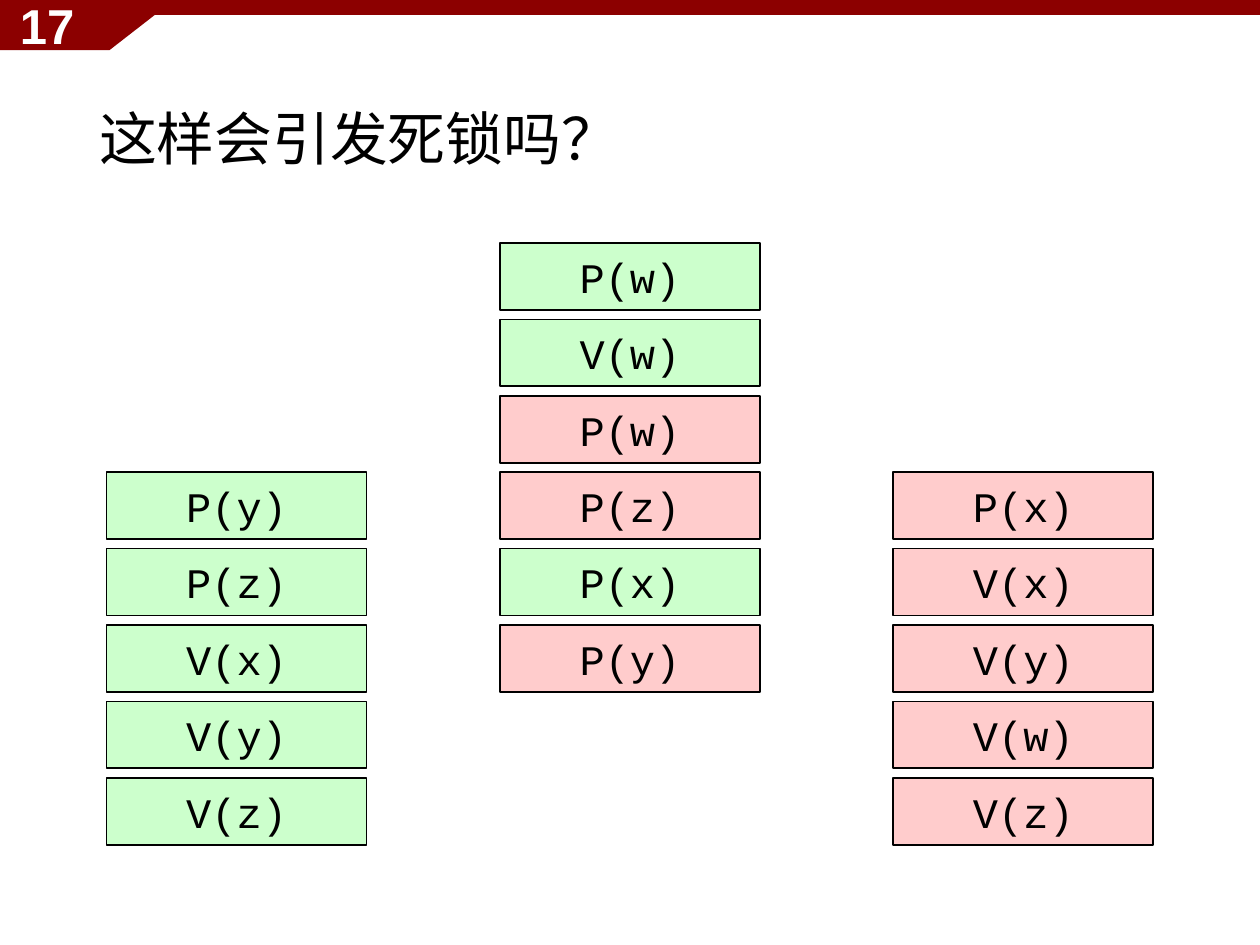
from pptx import Presentation
from pptx.dml.color import RGBColor
from pptx.enum.shapes import MSO_SHAPE
from pptx.enum.text import MSO_ANCHOR, PP_ALIGN
from pptx.util import Cm, Pt

COLORS = {
    "banner": "8C0000",
    "green": "CCFFCC",
    "red": "FFCCCC",
    "black": "000000",
    "white": "FFFFFF",
}
FIRST_LEFT, FIRST_TOP = 2.15, 4.9
COLUMN_PITCH, ROW_PITCH = 7.93, 1.54
BOX_WIDTH, BOX_HEIGHT = 5.24, 1.35
PROCESSES = [
    (3, [("P(y)", "green"), ("P(z)", "green"), ("V(x)", "green"),
         ("V(y)", "green"), ("V(z)", "green")]),
    (0, [("P(w)", "green"), ("V(w)", "green"), ("P(w)", "red"),
         ("P(z)", "red"), ("P(x)", "green"), ("P(y)", "red")]),
    (3, [("P(x)", "red"), ("V(x)", "red"), ("V(y)", "red"),
         ("V(w)", "red"), ("V(z)", "red")]),
]


def color(name):
    """Return the named colour."""
    return RGBColor.from_string(COLORS[name])


def paint(shape, fill, line=None):
    """Give a shape a flat fill and an optional thin outline."""
    shape.shadow.inherit = False
    shape.fill.solid()
    shape.fill.fore_color.rgb = color(fill)
    if line:
        shape.line.color.rgb = color(line)
        shape.line.width = Pt(1)
    else:
        shape.line.fill.background()


def write(shape, text, font_name, size, font_color, alignment, bold=False):
    """Put one vertically centred line of text in a shape."""
    text_frame = shape.text_frame
    text_frame.text = text
    text_frame.word_wrap = True
    text_frame.vertical_anchor = MSO_ANCHOR.MIDDLE
    paragraph = text_frame.paragraphs[0]
    paragraph.alignment = alignment
    font = paragraph.runs[0].font
    font.name = font_name
    font.size = Pt(size)
    font.bold = bold
    font.color.rgb = color(font_color)
    return paragraph


def add_banner(slide):
    """Draw the top bar with its slanted page number tab."""
    builder = slide.shapes.build_freeform(0, 0, scale=Cm(1) / 100)
    builder.add_line_segments([(0, 101), (221, 101), (351, 0)], close=True)
    paint(builder.convert_to_shape(), "banner")
    bar = slide.shapes.add_shape(MSO_SHAPE.RECTANGLE, 0, 0, Cm(25.4), Cm(0.3))
    paint(bar, "banner")


def add_label(slide, left, top, width, height, *style, **options):
    """Add a text box and return its paragraph."""
    label = slide.shapes.add_textbox(Cm(left), Cm(top), Cm(width), Cm(height))
    return write(label, *style, **options)


def add_operation(slide, column, row, text, fill):
    """Add one semaphore operation box on the grid."""
    box = slide.shapes.add_shape(
        MSO_SHAPE.RECTANGLE,
        Cm(FIRST_LEFT + column * COLUMN_PITCH),
        Cm(FIRST_TOP + row * ROW_PITCH),
        Cm(BOX_WIDTH),
        Cm(BOX_HEIGHT),
    )
    paint(box, fill, "black")
    write(box, text, "Courier New", 24, "black", PP_ALIGN.CENTER)


def main():
    """Build the deadlock question slide."""
    presentation = Presentation()
    presentation.slide_width = Cm(25.4)
    presentation.slide_height = Cm(19.05)
    slide = presentation.slides.add_slide(presentation.slide_layouts[6])
    add_banner(slide)
    title = add_label(slide, 1.75, 1.01, 21.9, 3.68, "这样会引发死锁吗？",
                      "Times New Roman", 33, "black", PP_ALIGN.LEFT)
    title.line_spacing = 0.9
    add_label(slide, -0.05, 0, 1.8, 1.01, "17",
              "Arial", 28, "white", PP_ALIGN.RIGHT, bold=True)
    for column, (first_row, operations) in enumerate(PROCESSES):
        for row, (text, fill) in enumerate(operations, first_row):
            add_operation(slide, column, row, text, fill)
    presentation.save("out.pptx")


if __name__ == "__main__":
    main()
